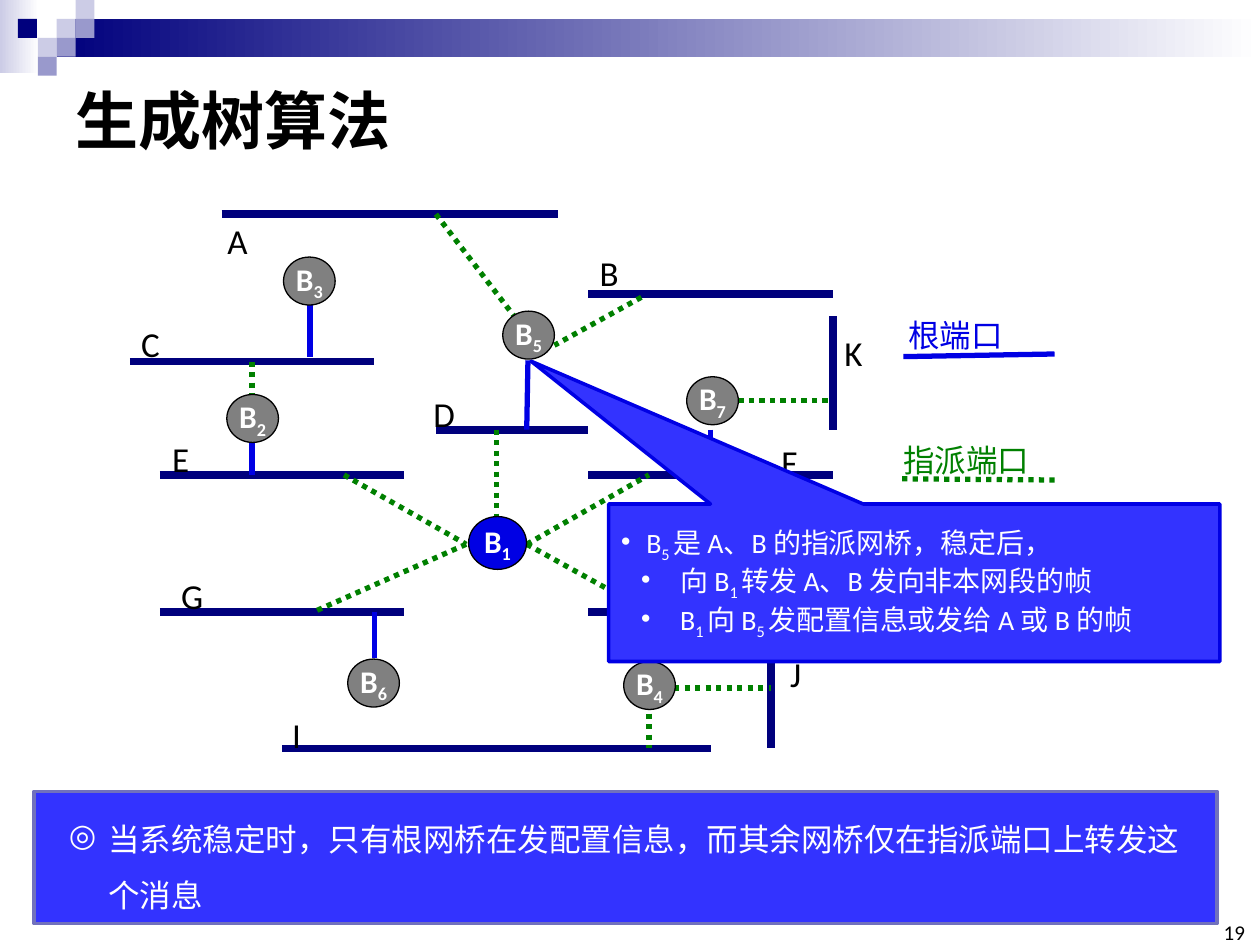
"""Build the spanning tree algorithm slide."""
from pptx import Presentation
from pptx.dml.color import RGBColor
from pptx.enum.dml import MSO_LINE
from pptx.enum.shapes import MSO_CONNECTOR, MSO_SHAPE
from pptx.enum.text import MSO_ANCHOR, PP_ALIGN
from pptx.oxml.ns import qn
from pptx.util import Pt
from lxml.etree import SubElement

COLORS = {
    "navy": "00007D", "blue": "0000E4", "panel": "3333FF", "edge": "7171BD",
    "green": "008000", "gray": "808080", "pale": "CCCCE6", "lilac": "9999CC",
    "black": "000000", "white": "FFFFFF",
}
RGB = {k: RGBColor.from_string(v) for k, v in COLORS.items()}
CJK = "Noto Sans CJK SC"
LATIN = "Calibri"


def add_box(kind, box, fill=None, line=None, width=1):
    box = [Pt(v) for v in box]
    if kind is None:
        return s.shapes.add_textbox(*box)
    sp = s.shapes.add_shape(kind, *box)
    sp.shadow.inherit = False
    if isinstance(fill, tuple):
        sp.fill.gradient()
        sp.fill.gradient_angle = 0
        for stop, c, pos in zip(sp.fill.gradient_stops, fill, (0, 1)):
            stop.color.rgb = RGB[c]
            stop.position = pos
    else:
        sp.fill.solid()
        sp.fill.fore_color.rgb = RGB[fill]
    if line:
        sp.line.color.rgb = RGB[line]
        sp.line.width = Pt(width)
    else:
        sp.line.fill.background()
    return sp


def write(sp, lines, color, font, frame=None, para=None, bullets=None):
    tf = sp.text_frame
    for k, v in {"word_wrap": True, **(frame or {})}.items():
        setattr(tf, k, v)
    for i, line in enumerate(lines):
        p = tf.paragraphs[0] if i == 0 else tf.add_paragraph()
        for k, v in {"alignment": PP_ALIGN.LEFT, **(para or {})}.items():
            setattr(p, k, v)
        if bullets:
            char, margin, hang, level = bullets[i]
            p.level = level
            pPr = p._p.get_or_add_pPr()
            pPr.set("marL", str(Pt(margin)))
            pPr.set("indent", str(-Pt(hang)))
            SubElement(pPr, qn("a:buChar")).set("char", char)
        for j, part in enumerate(line.split("_")):
            r = p.add_run()
            r.text = part
            for k, v in font.items():
                setattr(r.font, k, v)
            r.font.color.rgb = RGB[color]
            rPr = r._r.get_or_add_rPr()
            SubElement(rPr, qn("a:ea")).set("typeface", CJK)
            if j % 2:
                rPr.set("baseline", "-25000")


prs = Presentation()
prs.slide_width, prs.slide_height = Pt(720), Pt(540)
s = prs.slides.add_slide(prs.slide_layouts[6])

add_box(MSO_SHAPE.RECTANGLE, (0, 0, 22.3, 41.8), ("pale", "white"))
add_box(MSO_SHAPE.RECTANGLE, (32.4, 10.8, 687.6, 21.6), ("navy", "white"))
tile = 10.8
for col, row, c in [(3, 1, "pale"), (4, 0, "pale"), (4, 1, "lilac"), (2, 2, "pale"),
                    (0.95, 1, "navy"), (3, 2, "lilac"), (2, 3, "lilac")]:
    add_box(MSO_SHAPE.RECTANGLE, (col * tile, row * tile, tile, tile), c)

write(add_box(None, (36, 36, 648, 64)), ["生成树算法"], "black",
      {"size": Pt(36), "name": CJK, "bold": True},
      {"vertical_anchor": MSO_ANCHOR.MIDDLE})
no_inset = {f"margin_{side}": 0 for side in ("left", "right", "top", "bottom")}
write(add_box(None, (694.8, 527.8, 16.6, 12.2)), ["19"], "black",
      {"size": Pt(12), "name": LATIN},
      {**no_inset, "vertical_anchor": MSO_ANCHOR.BOTTOM, "word_wrap": False},
      {"alignment": PP_ALIGN.RIGHT})

styles = {
    "segment": ("navy", 4.5, None),
    "root": ("blue", 3, None),
    "designated": ("green", 3, MSO_LINE.ROUND_DOT),
}
links = {
    "segment": [
        (126.7, 122.4, 319, 122.4), (336.2, 167.8, 475.9, 167.8),
        (74.2, 206.6, 213.8, 206.6), (249.1, 245.5, 336.2, 245.5),
        (336.2, 271.4, 475.9, 271.4), (91.4, 271.4, 231.1, 271.4),
        (91.4, 349.6, 231.1, 349.6), (336.2, 349.6, 475.9, 349.6),
        (161.3, 427.7, 406.1, 427.7), (475.9, 180.7, 475.9, 245.5),
        (440.6, 362.9, 440.6, 427.7)],
    "root": [
        (177.1, 172.1, 177.1, 203.8), (301.7, 205.9, 301, 245.5),
        (144, 245.5, 144, 271.4), (406.1, 245.5, 406.1, 271.4),
        (213.8, 349.6, 213.8, 375.8), (370.8, 349.6, 370.8, 375.8),
        (602.6, 202.3, 516.2, 203.8)],
    "designated": [
        (249.1, 122.4, 293.8, 180.7), (366.5, 169.9, 316.8, 197.3),
        (144, 206.6, 144, 229), (283.7, 245.5, 283.7, 297.4),
        (196.6, 271.4, 266.4, 311), (421.9, 229, 473.8, 229),
        (301, 311, 370.8, 271.4), (266.4, 311, 179.3, 349.6),
        (301, 311, 370.8, 349.6), (370.8, 401.8, 370.8, 427.7),
        (385.2, 393.1, 440.6, 393.1), (515.5, 273.6, 602.6, 274.3)],
}
for style, (c, width, dash) in styles.items():
    for ends in links[style]:
        ln = s.shapes.add_connector(MSO_CONNECTOR.STRAIGHT, *[Pt(v) for v in ends])
        ln.line.color.rgb = RGB[c]
        ln.line.width = Pt(width)
        if dash:
            ln.line.dash_style = dash
        SubElement(ln._element.spPr, qn("a:effectLst"))

labels = {
    "A": (118.8, 121.7), "B": (331.2, 140.4), "C": (69.1, 180.7), "D": (236.9, 221),
    "E": (86.4, 246.2), "F": (434.2, 248.4), "G": (92.9, 324.7), "H": (378, 324.7),
    "I": (152.6, 403.9), "J": (437.8, 369.4), "K": (470.9, 185.8),
}
for name, (x, y) in labels.items():
    write(add_box(None, (x, y, 33.8, 25.9)), [name], "black",
          {"size": Pt(20), "name": LATIN}, para={"alignment": PP_ALIGN.CENTER})
for name, c, x, y, w in [("根端口", "blue", 511.9, 177.1, 82),
                         ("指派端口", "green", 509, 248.4, 102)]:
    write(add_box(None, (x, y, w, 28.8)), [name], c, {"size": Pt(18), "name": CJK})

bridges = {
    1: (267.8, 295.2), 2: (129.6, 225.4), 3: (162, 146.9), 4: (356.4, 378),
    5: (287.3, 177.8), 6: (198.7, 376.6), 7: (392.4, 215.3),
}
for n, pos in bridges.items():
    size, c = ((33.1, 30.2), "blue") if n == 1 else ((29.5, 27.4), "gray")
    write(add_box(MSO_SHAPE.OVAL, (*pos, *size), c, "black", 0.75), [f"B_{n}"], "white",
          {"size": Pt(18), "name": LATIN, "bold": True},
          {**no_inset, "vertical_anchor": MSO_ANCHOR.MIDDLE, "word_wrap": False},
          {"alignment": PP_ALIGN.CENTER})

sp = add_box(MSO_SHAPE.RECTANGLE, (19.4, 452.2, 676.1, 75.6), "panel", "edge", 2)
write(sp, ["当系统稳定时，只有根网桥在发配置信息，而其余网桥仅在指派端口上转发这个消息"],
      "white", {"size": Pt(18), "name": CJK},
      {"vertical_anchor": MSO_ANCHOR.MIDDLE, "margin_left": Pt(20), "margin_right": Pt(14.4)},
      {"line_spacing": 1.5}, [("◎", 22.5, 22.5, 0)])

sp = add_box(MSO_SHAPE.RECTANGULAR_CALLOUT, (347.8, 288, 349.2, 90), "panel", "blue", 2)
sp.adjustments[0], sp.adjustments[1] = -0.627, -1.407
write(sp, ["B_5 _是 A、B 的指派网桥，稳定后，",
           "向 B_1 _转发 A、B 发向非本网段的帧",
           "B_1 _向 B_5 _发配置信息或发给 A 或 B 的帧"],
      "white", {"size": Pt(16), "name": LATIN},
      {"vertical_anchor": MSO_ANCHOR.MIDDLE}, {"line_spacing": Pt(22)},
      [("•", 14.4, 14.4, 0)] + [("•", 33.8, 22.3, 1)] * 2)

prs.save("out.pptx")
